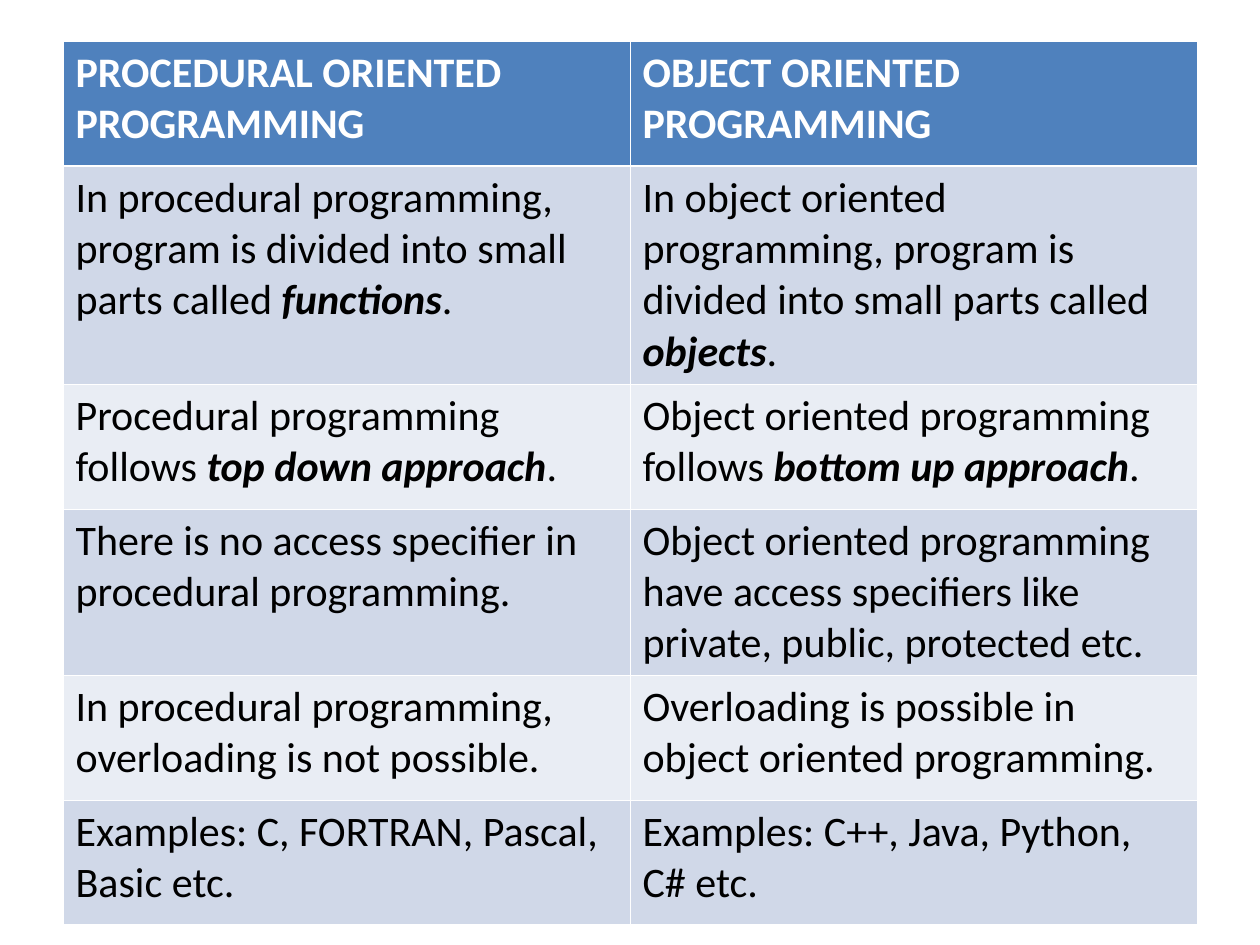
import pptx
import pptx.dml.color
import pptx.oxml.ns
import pptx.util
from lxml import etree
from pptx.util import Inches

FONT = "Calibri"
WHITE, BLACK = "FFFFFF", "000000"
HEAD, DARK, LIGHT = "4F81BD", "D0D8E8", "E9EDF4"
THIN, THICK = 0.45, 1.47

# Words between asterisks are bold italic
ROWS = [
    (0.99, "PROCEDURAL ORIENTED PROGRAMMING", "OBJECT ORIENTED PROGRAMMING"),
    (1.73,
     "In procedural programming, program is divided into small parts called *functions*.",
     "In object oriented programming, program is divided into small parts called *objects*."),
    (0.99,
     "Procedural programming follows *top down approach*.",
     "Object oriented programming follows *bottom up approach*."),
    (1.32,
     "There is no access specifier in procedural programming.",
     "Object oriented programming have access specifiers like private, public, protected etc."),
    (0.99,
     "In procedural programming, overloading is not possible.",
     "Overloading is possible in object oriented programming."),
    (0.99,
     "Examples: C, FORTRAN, Pascal, Basic etc.",
     "Examples: C++, Java, Python, C# etc."),
]


def color(code):
    return pptx.dml.color.RGBColor.from_string(code)


def border(cell, side, width):
    """Draw one white edge of a cell; side is L, R, T or B."""
    tag = pptx.oxml.ns.qn
    props = cell._tc.get_or_add_tcPr()
    line = etree.SubElement(props, tag("a:ln" + side),
                            w=str(int(pptx.util.Pt(width))))
    fill = etree.SubElement(line, tag("a:solidFill"))
    etree.SubElement(fill, tag("a:srgbClr"), val=WHITE)


def write(cell, text, head):
    """Fill a cell with runs, marking the words between asterisks."""
    para = cell.text_frame.paragraphs[0]
    for i, part in enumerate(text.split("*")):
        run = para.add_run()
        run.text = part
        strong = i % 2 == 1
        font = run.font
        font.name = FONT
        font.size = pptx.util.Pt(24)
        font.bold = head or strong
        font.italic = strong
        font.color.rgb = color(WHITE if head else BLACK)


def compare(slide, left, top, width, height):
    """Place the two-column comparison table in the given box."""
    table = slide.shapes.add_table(
        len(ROWS), 2, Inches(left), Inches(top),
        Inches(width), Inches(height)).table
    for col in table.columns:
        col.width = Inches(width / 2)

    for r, (tall, *texts) in enumerate(ROWS):
        table.rows[r].height = Inches(tall)
        shade = HEAD if r == 0 else DARK if r % 2 else LIGHT
        for c, text in enumerate(texts):
            cell = table.cell(r, c)
            # Edges come before the fill; a thick rule closes the header
            for side in "LRTB":
                rule = (r, side) in [(0, "B"), (1, "T")]
                border(cell, side, THICK if rule else THIN)
            cell.fill.solid()
            cell.fill.fore_color.rgb = color(shade)
            write(cell, text, r == 0)


def main():
    deck = pptx.Presentation()
    deck.slide_width, deck.slide_height = Inches(10), Inches(7.5)
    slide = deck.slides.add_slide(deck.slide_layouts[6])
    compare(slide, 0.5, 0.33, 9, 7)
    deck.save("out.pptx")


if __name__ == "__main__":
    main()
